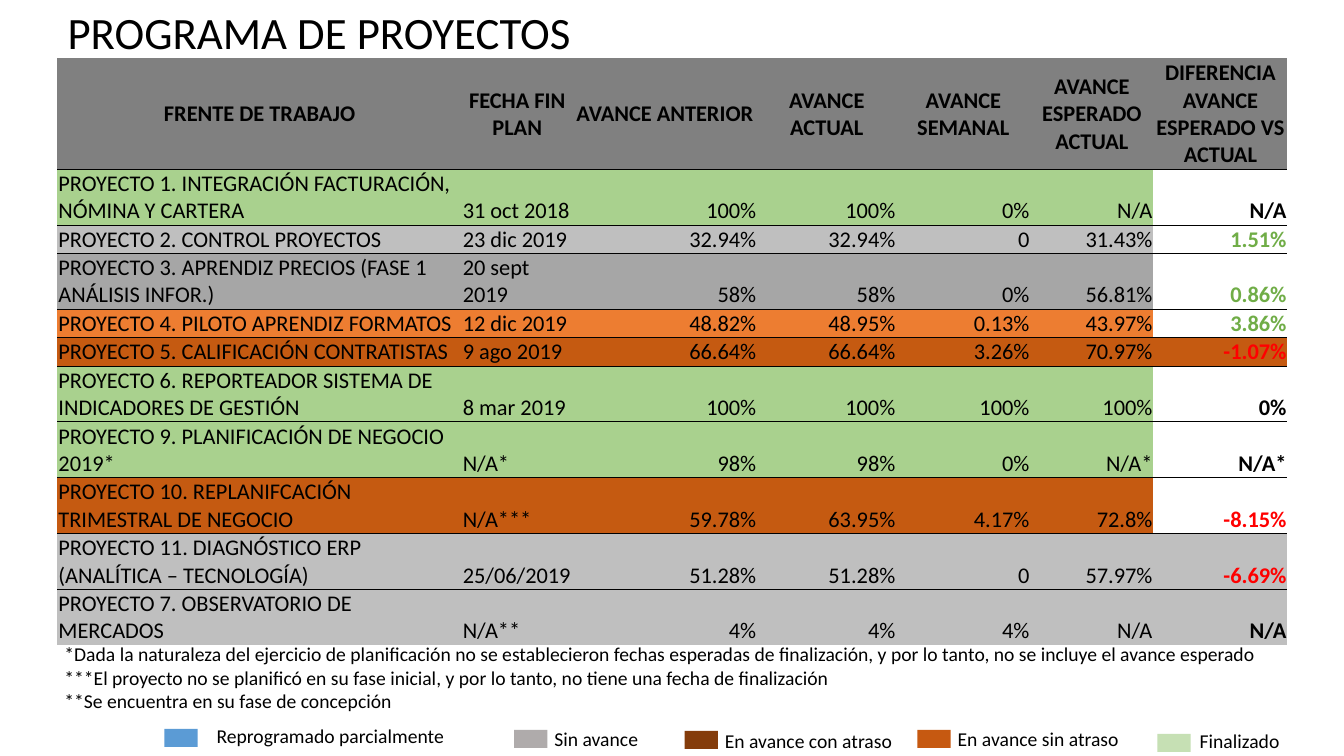
import pptx
import pptx.util
import pptx.dml.color
import pptx.enum.text
import pptx.enum.shapes
import pptx.oxml.ns
import lxml.etree

WIDE, HIGH = 13.33, 7.5
ROWS = 75
UNIT = HIGH / ROWS
ALIGN = pptx.enum.text.PP_ALIGN
ANCHOR = pptx.enum.text.MSO_ANCHOR

GREEN, PALE, GRAY = "A9D18E", "BFBFBF", "A6A6A6"
AMBER, RUST, WHITE = "ED7D31", "C55A11", "FFFFFF"

HEADS = ["FRENTE DE TRABAJO", "FECHA FIN PLAN", "AVANCE ANTERIOR", "AVANCE ACTUAL",
         "AVANCE SEMANAL", "AVANCE ESPERADO ACTUAL",
         "DIFERENCIA AVANCE ESPERADO VS ACTUAL"]
COLS = [40.1, 11, 18.3, 13.8, 13.3, 12.2, 13.3]
HEAD, LINE = 10.9, 2.73

PLANS = [
    (GREEN, WHITE, 2, ["PROYECTO 1. INTEGRACIÓN FACTURACIÓN, NÓMINA Y CARTERA",
                       "31 oct 2018", "100%", "100%", "0%", "N/A", "N/A"]),
    (PALE, WHITE, 1, ["PROYECTO 2. CONTROL PROYECTOS",
                      "23 dic 2019", "32.94%", "32.94%", "0", "31.43%", "1.51%"]),
    (GRAY, WHITE, 2, ["PROYECTO 3. APRENDIZ PRECIOS (FASE 1 ANÁLISIS INFOR.)",
                      "20 sept 2019", "58%", "58%", "0%", "56.81%", "0.86%"]),
    (AMBER, WHITE, 1, ["PROYECTO 4. PILOTO APRENDIZ FORMATOS",
                       "12 dic 2019", "48.82%", "48.95%", "0.13%", "43.97%", "3.86%"]),
    (RUST, RUST, 1, ["PROYECTO 5. CALIFICACIÓN CONTRATISTAS",
                     "9 ago 2019", "66.64%", "66.64%", "3.26%", "70.97%", "-1.07%"]),
    (GREEN, WHITE, 2, ["PROYECTO 6. REPORTEADOR SISTEMA DE INDICADORES DE GESTIÓN",
                       "8 mar 2019", "100%", "100%", "100%", "100%", "0%"]),
    (GREEN, WHITE, 2, ["PROYECTO 9. PLANIFICACIÓN DE NEGOCIO 2019*",
                       "N/A*", "98%", "98%", "0%", "N/A*", "N/A*"]),
    (RUST, WHITE, 2, ["PROYECTO 10. REPLANIFCACIÓN TRIMESTRAL DE NEGOCIO",
                      "N/A***", "59.78%", "63.95%", "4.17%", "72.8%", "-8.15%"]),
    (PALE, PALE, 2, ["PROYECTO 11. DIAGNÓSTICO ERP (ANALÍTICA – TECNOLOGÍA)",
                     "25/06/2019", "51.28%", "51.28%", "0", "57.97%", "-6.69%"]),
    (PALE, PALE, 2, ["PROYECTO 7. OBSERVATORIO DE MERCADOS",
                     "N/A**", "4%", "4%", "4%", "N/A", "N/A"]),
]

NOTES = [
    "*Dada la naturaleza del ejercicio de planificación no se establecieron fechas esperadas "
    "de finalización, y por lo tanto, no se incluye el avance esperado",
    "***El proyecto no se planificó en su fase inicial, y por lo tanto, no tiene una fecha "
    "de finalización",
    "**Se encuentra en su fase de concepción",
]

KEYS = [
    ("Reprogramado parcialmente", "5B9BD5", 0, 0, 4.2, -1, 29.7),
    ("Sin avance", "AFABAB", 34.7, 0.1, 3, -0.8, 13),
    ("En avance con atraso", "843C0B", 51.6, 0.2, 3, -0.7, 19.3),
    ("En avance sin atraso", "C65911", 74.7, 0.1, 3, -0.8, 19.3),
    ("Finalizado", "C6E0B4", 98.5, 0.5, 3.2, -1, 10.2),
]


def size(units):
    return pptx.util.Inches(units * UNIT)


def place(*box):
    return [size(part) for part in box]


def color(code):
    return pptx.dml.color.RGBColor.from_string(code)


def write(frame, text, points=14, tint="000000", bold=False, align=ALIGN.LEFT):
    frame.word_wrap = True
    for i, line in enumerate(text.split("\n")):
        para = frame.add_paragraph() if i else frame.paragraphs[0]
        para.alignment = align
        run = para.add_run()
        run.text = line
        run.font.name = "Calibri"
        run.font.size = pptx.util.Pt(points)
        run.font.bold = bold
        run.font.color.rgb = color(tint)


def label(slide, box, text):
    write(slide.shapes.add_textbox(*place(*box)).text_frame, text)


def title(slide, box):
    head = slide.shapes.title
    head.left, head.top, head.width, head.height = place(*box)
    frame = head.text_frame
    frame.auto_size = pptx.enum.text.MSO_AUTO_SIZE.NONE
    frame.vertical_anchor = ANCHOR.MIDDLE
    write(frame, "PROGRAMA DE PROYECTOS", points=32)


def rule(cell, sides):
    props = cell._tc.get_or_add_tcPr()
    for spot, side in enumerate(sides):
        line = lxml.etree.Element(pptx.oxml.ns.qn("a:" + side), w="6350")
        fill = lxml.etree.SubElement(line, pptx.oxml.ns.qn("a:solidFill"))
        lxml.etree.SubElement(fill, pptx.oxml.ns.qn("a:srgbClr"), val="000000")
        props.insert(spot, line)


def fill_cell(cell, text, back, anchor, **style):
    cell.margin_left = cell.margin_right = cell.margin_top = size(0.1)
    cell.margin_bottom = 0
    cell.vertical_anchor = anchor
    cell.fill.solid()
    cell.fill.fore_color.rgb = color(back)
    write(cell.text_frame, text, points=16, **style)


def tone(text):
    if text.startswith("-"):
        return "FF0000"
    return "70AD47" if "." in text else "000000"


def table(slide, box):
    count = len(PLANS)
    shape = slide.shapes.add_table(count + 1, len(COLS), *place(*box))
    grid = shape.table
    grid.first_row = grid.horz_banding = False
    style = grid._tbl.tblPr.find(pptx.oxml.ns.qn("a:tableStyleId"))
    style.text = "{2D5ABB26-0587-4C30-8999-92F81FD0307C}"
    for col, wide in zip(grid.columns, COLS):
        col.width = size(wide)
    grid.rows[0].height = size(HEAD)
    for c, text in enumerate(HEADS):
        cell = grid.cell(0, c)
        fill_cell(cell, text, "808080", ANCHOR.MIDDLE, bold=True, align=ALIGN.CENTER)
        rule(cell, ["lnB"])
    for r, (back, end, lines, texts) in enumerate(PLANS, 1):
        grid.rows[r].height = size(lines * LINE)
        for c, text in enumerate(texts):
            last = c == len(COLS) - 1
            cell = grid.cell(r, c)
            fill_cell(cell, text, end if last else back, ANCHOR.BOTTOM, bold=last,
                      tint=tone(text) if last else "000000",
                      align=ALIGN.RIGHT if c > 1 else ALIGN.LEFT)
            rule(cell, ["lnT", "lnB"] if r < count else ["lnT"])


def legend(slide, box):
    left, top, wide, high = box
    for text, tint, shift, drop, gap, lift, span in KEYS:
        x, y = left + shift, top + drop
        mark = slide.shapes.add_shape(pptx.enum.shapes.MSO_SHAPE.RECTANGLE,
                                      *place(x, y, 3.3, 1.8))
        mark.shadow.inherit = False
        mark.fill.solid()
        mark.fill.fore_color.rgb = color(tint)
        mark.line.fill.background()
        label(slide, (x + gap, y + lift, span, high), text)


def main():
    deck = pptx.Presentation()
    deck.slide_width = pptx.util.Inches(WIDE)
    deck.slide_height = pptx.util.Inches(HIGH)
    slide = deck.slides.add_slide(deck.slide_layouts[5])
    title(slide, (5.7, -0.1, 77.8, 6.4))
    table(slide, (5.7, 5.8, 122, 57.1))
    label(slide, (5.4, 63.2, 122, 8.1), "\n".join(NOTES))
    legend(slide, (16.3, 72.3, 112, 3.4))
    deck.save("out.pptx")


if __name__ == "__main__":
    main()
